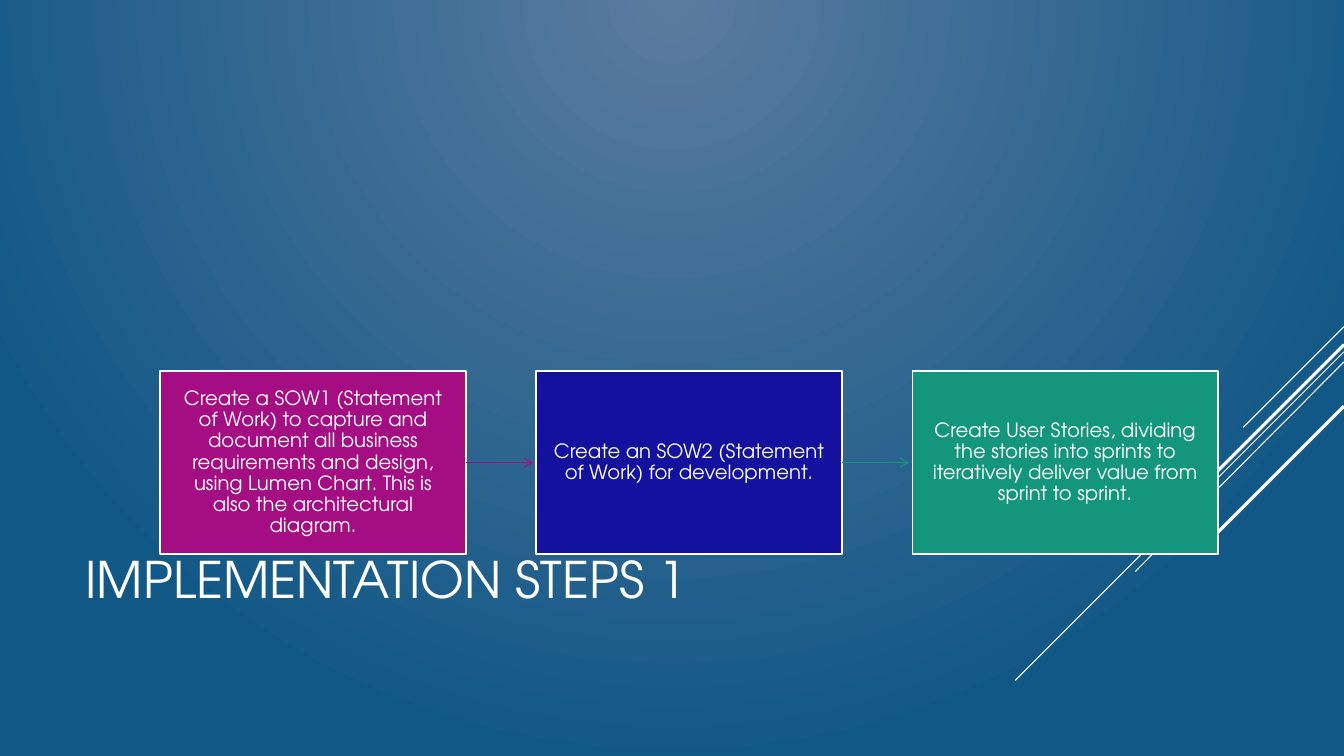
from itertools import pairwise

from lxml.etree import SubElement
from pptx import Presentation
from pptx.dml.color import RGBColor
from pptx.enum.shapes import MSO_CONNECTOR as Connector, MSO_SHAPE as Shape
from pptx.enum.text import MSO_ANCHOR as Anchor, PP_ALIGN as Align
from pptx.oxml.ns import qn
from pptx.util import Inches, Pt

BOX_LEFT, BOX_TOP, BOX_WIDTH, BOX_HEIGHT = 1.59, 3.68, 3.03, 1.82
BOX_PITCH = 3.73
ARROW_LENGTH = 0.67
RIGHT_SIDE = 3

STEPS = [
    ("Create a SOW1 (Statement of Work) to capture and document all business "
     "requirements and design, using Lumen Chart. This is also the "
     "architectural diagram.", "A50E82"),
    ("Create an SOW2 (Statement of Work) for development.", "13119D"),
    ("Create User Stories, dividing the stories into sprints to iteratively "
     "deliver value from sprint to sprint.", "14967C"),
]
ARROW_COLORS = ["A50E82", "14967C"]
STRIPES = [
    (3.24, 12.33, 4.24, 0.75),
    (3.49, 10.07, 6.75, 0.75),
    (3.59, 11.26, 5.67, 0.75),
    (3.42, 11.42, 5.33, 2.25),
    (4.03, 11.94, 5.42, 2.25),
]


def color(value):
    return RGBColor.from_string(value)


def write(frame, text, size=14, font="TeX Gyre Adventor", ink="FFFFFF",
          align=Align.LEFT, spacing=1.0, inset=(0.1, 0.05)):
    frame.word_wrap = True
    frame.vertical_anchor = Anchor.MIDDLE
    frame.margin_left = frame.margin_right = Inches(inset[0])
    frame.margin_top = frame.margin_bottom = Inches(inset[1])
    paragraph = frame.paragraphs[0]
    paragraph.alignment = align
    paragraph.line_spacing = spacing
    run = paragraph.add_run()
    run.text = text
    run.font.size = Pt(size)
    run.font.name = font
    run.font.color.rgb = color(ink)


class StepsSlide:
    white = "FFFFFF"

    def __init__(self, deck):
        self.slide = deck.slides.add_slide(deck.slide_layouts[6])
        self.shapes = self.slide.shapes

    def background(self, center, edge):
        fill = self.slide.background.fill
        fill.gradient()
        for stop, position, shade in zip(fill.gradient_stops, (0, 1), (center, edge)):
            stop.position = position
            stop.color.rgb = color(shade)
        gradient = next(self.slide.element.iter(qn("a:gradFill")))
        gradient.remove(gradient.find(qn("a:lin")))
        radial = SubElement(gradient, qn("a:path"), path="circle")
        SubElement(radial, qn("a:fillToRect"), l="43000", t="0", r="43000", b="100000")

    def line(self, start, end, shade, weight):
        connector = self.shapes.add_connector(
            Connector.STRAIGHT, *(Inches(value) for value in (*start, *end)))
        connector.line.color.rgb = color(shade)
        connector.line.width = Pt(weight)
        SubElement(connector.element.spPr, qn("a:effectLst"))
        return connector

    def title(self, text):
        heading = self.shapes.add_textbox(
            Inches(0.75), Inches(4.91), Inches(9.33), Inches(1.65))
        write(heading.text_frame, text, size=36)

    def step(self, index, text, shade):
        box = self.shapes.add_shape(
            Shape.RECTANGLE, Inches(BOX_LEFT + index * BOX_PITCH), Inches(BOX_TOP),
            Inches(BOX_WIDTH), Inches(BOX_HEIGHT))
        box.shadow.inherit = False
        box.fill.solid()
        box.fill.fore_color.rgb = color(shade)
        box.line.color.rgb = color(self.white)
        box.line.width = Pt(1.25)
        write(box.text_frame, text, align=Align.CENTER, spacing=0.9, inset=(0.15, 0.16))
        return box

    def arrow(self, index, box, shade):
        left = BOX_LEFT + index * BOX_PITCH + BOX_WIDTH
        middle = BOX_TOP + BOX_HEIGHT / 2
        arrow = self.line((left, middle), (left + ARROW_LENGTH, middle), shade, 0.75)
        arrow.begin_connect(box, RIGHT_SIDE)
        SubElement(arrow.line._get_or_add_ln(), qn("a:tailEnd"), type="arrow")


def main():
    deck = Presentation()
    deck.slide_width, deck.slide_height = Inches(13.33), Inches(7.5)
    page = StepsSlide(deck)
    page.background("5A7B9E", "125886")
    for top, left, bottom, weight in STRIPES:
        page.line((13.33, top), (left, bottom), page.white, weight)
    page.title("IMPLEMENTATION STEPS 1")
    boxes = [page.step(index, *step) for index, step in enumerate(STEPS)]
    for index, ((box, _), shade) in enumerate(zip(pairwise(boxes), ARROW_COLORS)):
        page.arrow(index, box, shade)
    deck.save("out.pptx")


if __name__ == "__main__":
    main()
